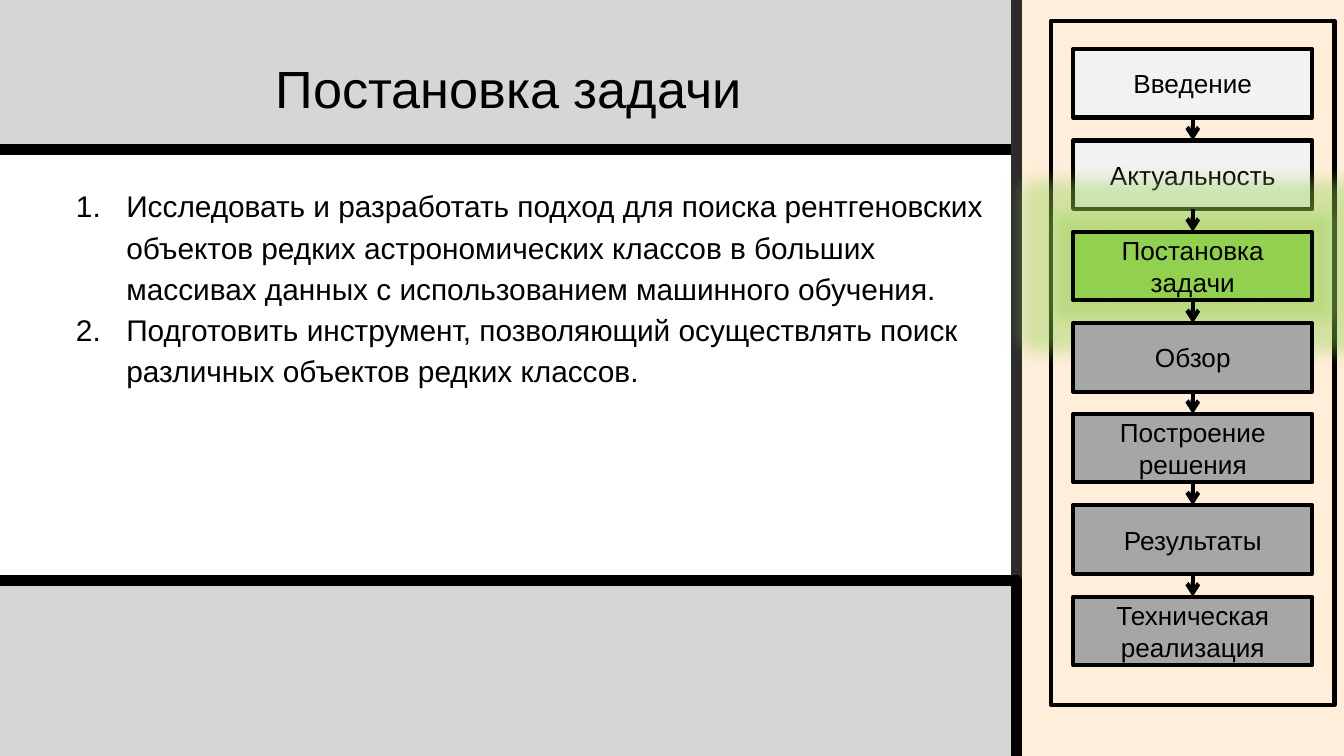
"""Build the problem statement slide with its section navigator."""
from lxml.etree import SubElement
from pptx import Presentation
from pptx.dml.color import RGBColor
from pptx.enum.shapes import MSO_CONNECTOR, MSO_SHAPE
from pptx.enum.text import MSO_ANCHOR, MSO_AUTO_SIZE, PP_ALIGN
from pptx.oxml.ns import qn
from pptx.util import Pt

PX = 4572
STEPS = [
    ("Введение", "F2F2F2"),
    ("Актуальность", "F2F2F2"),
    ("Постановка задачи", "92D050"),
    ("Обзор", "A6A6A6"),
    ("Построение решения", "A6A6A6"),
    ("Результаты", "A6A6A6"),
    ("Техническая реализация", "A6A6A6"),
]
TASKS = [
    "Исследовать и разработать подход для поиска рентгеновских объектов редких "
    "астрономических классов в больших массивах данных с использованием машинного обучения.",
    "Подготовить инструмент, позволяющий осуществлять поиск различных объектов редких классов.",
]


def add_box(x, y, w, h, fill, line, weight):
    sp = s.shapes.add_shape(MSO_SHAPE.RECTANGLE, x * PX, y * PX, w * PX, h * PX)
    sp.shadow.inherit = False
    sp.fill.solid()
    sp.fill.fore_color.rgb = RGBColor.from_string(fill)
    sp.line.color.rgb = RGBColor.from_string(line)
    sp.line.width = Pt(weight)
    return sp


def style_text(p, size):
    for r in p.runs:
        r.font.size = Pt(size)
        r.font.name = "Arial"
        r.font.color.rgb = RGBColor.from_string("000000")


prs = Presentation()
prs.slide_width, prs.slide_height = 2000 * PX, 1125 * PX
s = prs.slides.add_slide(prs.slide_layouts[1])
title, body = s.placeholders

header = add_box(-28, -124, 1541, 347, "D6D6D6", "000000", 6)
title._element.addprevious(header._element)

for sp, (x, y, w, h) in ((title, (0, 64, 1514, 160)), (body, (68, 252, 1420, 642))):
    sp.left, sp.top, sp.width, sp.height = x * PX, y * PX, w * PX, h * PX
    tf = sp.text_frame
    tf.word_wrap = True
    tf.auto_size = MSO_AUTO_SIZE.NONE
    tf.vertical_anchor = MSO_ANCHOR.TOP
    tf.margin_left = tf.margin_right = tf.margin_top = tf.margin_bottom = 20 * PX

title.text_frame.text = "Постановка задачи"
p = title.text_frame.paragraphs[0]
p.alignment = PP_ALIGN.CENTER
style_text(p, 28)

body.text_frame.text = "\n".join(TASKS)
for p in body.text_frame.paragraphs:
    p.line_spacing = 1.15
    p.space_before = Pt(0)
    pPr = p._p.get_or_add_pPr()
    pPr.set("marL", str(100 * PX))
    pPr.set("indent", str(-75 * PX))
    SubElement(pPr, qn("a:buFont"), typeface="Arial")
    SubElement(pPr, qn("a:buAutoNum"), type="arabicPeriod")
    style_text(p, 16)

add_box(1513, -20, 508, 1172, "FFEED9", "2C2C2C", 6)
add_box(-28, 864, 1541, 378, "D6D6D6", "000000", 6)
add_box(1564, 31, 422, 1018, "FFEED9", "000000", 2.25)

boxes = []
for i, (label, fill) in enumerate(STEPS):
    sp = add_box(1597, 73 + round(i * 815 / 6), 356, 102, fill, "000000", 2.25)
    tf = sp.text_frame
    tf.word_wrap = True
    tf.vertical_anchor = MSO_ANCHOR.MIDDLE
    tf.text = label
    p = tf.paragraphs[0]
    p.alignment = PP_ALIGN.CENTER
    style_text(p, 14)
    boxes.append(sp)

effects = boxes[2]._element.spPr.find(qn("a:effectLst"))
glow = SubElement(effects, qn("a:glow"), rad=str(50 * PX))
color = SubElement(glow, qn("a:srgbClr"), val="92D050")
SubElement(color, qn("a:alpha"), val="40000")

for upper, lower in zip(boxes, boxes[1:]):
    arrow = s.shapes.add_connector(MSO_CONNECTOR.STRAIGHT, 0, 0, 0, 0)
    arrow.begin_connect(upper, 2)
    arrow.end_connect(lower, 0)
    arrow.line.color.rgb = RGBColor.from_string("000000")
    arrow.line.width = Pt(2.25)
    SubElement(arrow.line._get_or_add_ln(), qn("a:tailEnd"), type="arrow")
    SubElement(arrow._element.spPr, qn("a:effectLst"))

prs.save("out.pptx")
